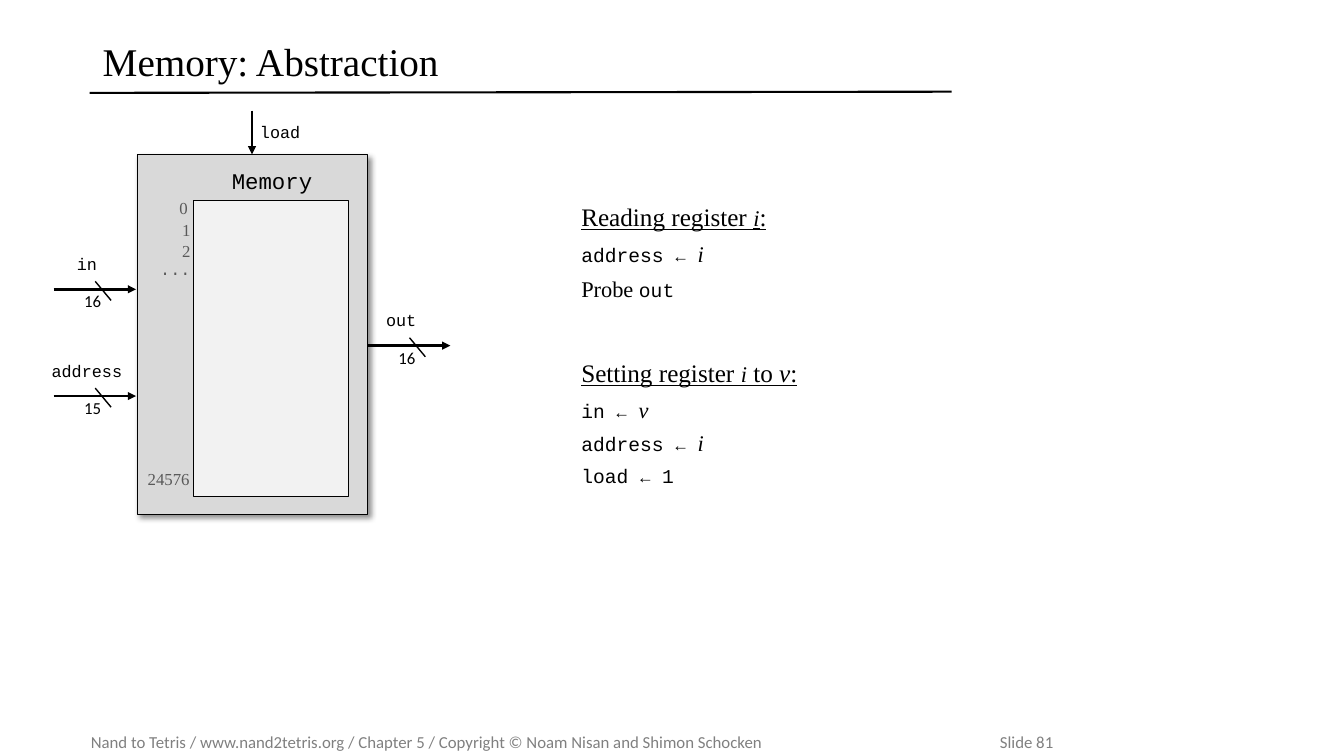
from dataclasses import dataclass

from lxml import etree
from pptx import Presentation
from pptx.dml.color import RGBColor
from pptx.enum.shapes import MSO_CONNECTOR, MSO_SHAPE
from pptx.enum.text import MSO_ANCHOR, PP_ALIGN
from pptx.oxml.ns import qn
from pptx.util import Cm, Pt

LEFT, MID, RIGHT = PP_ALIGN.LEFT, PP_ALIGN.CENTER, PP_ALIGN.RIGHT
TOP, CENTER = MSO_ANCHOR.TOP, MSO_ANCHOR.MIDDLE
LINE, RECT = MSO_CONNECTOR.STRAIGHT, MSO_SHAPE.RECTANGLE


@dataclass(frozen=True)
class Theme:
    black: str = "000000"
    gray: str = "808080"
    dim: str = "595959"
    chip: str = "D9D9D9"
    cells: str = "F2F2F2"
    serif: str = "Times New Roman"
    code: str = "Courier New"
    sans: str = "Calibri"
    title: int = 28
    head: int = 18
    body: int = 16
    mono: int = 14
    small: int = 12


@dataclass(frozen=True)
class Run:
    text: str
    font: str
    size: int
    color: str = Theme.black
    slant: bool = False
    under: bool = False


class Page:
    def __init__(self, deck, theme):
        self.theme = theme
        self.slide = deck.slides.add_slide(deck.slide_layouts[6])

    def text(self, left, top, width, height, paras, align=LEFT,
             anchor=TOP, inset=0.25, gaps=(), pitch=None, tab=None):
        box = self.slide.shapes.add_textbox(Cm(left), Cm(top), Cm(width), Cm(height))
        frame = box.text_frame
        frame.word_wrap = True
        frame.vertical_anchor = anchor
        frame.margin_left = frame.margin_right = Cm(inset)
        for row, runs in enumerate(paras):
            para = frame.paragraphs[0] if row == 0 else frame.add_paragraph()
            para.alignment = align
            if row:
                para.space_before = Pt(gaps[row - 1])
            if pitch:
                para.line_spacing = pitch
            if tab:
                stops = etree.SubElement(para._p.get_or_add_pPr(), qn("a:tabLst"))
                etree.SubElement(stops, qn("a:tab"), pos=str(Cm(tab)), algn="l")
            for item in runs:
                run = para.add_run()
                run.text = item.text
                font = run.font
                font.name, font.size = item.font, Pt(item.size)
                font.italic, font.underline = item.slant, item.under
                font.color.rgb = RGBColor.from_string(item.color)

    def label(self, left, top, width, text, font, align=MID, color=Theme.black):
        self.text(left, top, width, 0.76,
                  [[Run(text, font, self.theme.small, color)]], align)

    def line(self, start, end, weight, arrow=False):
        wire = self.slide.shapes.add_connector(LINE, *map(Cm, start + end))
        wire.line.color.rgb = RGBColor.from_string(self.theme.black)
        wire.line.width = Pt(weight)
        etree.SubElement(wire._element.spPr, qn("a:effectLst"))
        if arrow:
            etree.SubElement(wire.line._get_or_add_ln(), qn("a:tailEnd"), type="triangle")

    def rect(self, left, top, width, height, fill, weight, shade=False):
        box = self.slide.shapes.add_shape(RECT, Cm(left), Cm(top), Cm(width), Cm(height))
        box.fill.solid()
        box.fill.fore_color.rgb = RGBColor.from_string(fill)
        box.line.color.rgb = RGBColor.from_string(self.theme.black)
        box.line.width = Pt(weight)
        box.shadow.inherit = False
        if shade:
            effect = box._element.spPr.find(qn("a:effectLst"))
            cast = etree.SubElement(effect, qn("a:outerShdw"), blurRad=str(Pt(4)),
                                    dist=str(Pt(3)), dir="2700000", algn="tl", rotWithShape="0")
            tint = etree.SubElement(cast, qn("a:srgbClr"), val=self.theme.black)
            etree.SubElement(tint, qn("a:alpha"), val="43000")

    def port(self, left, top, name, bits):
        self.line((left, top), (left + 2.08, top), 1.75, True)
        self.line((left + 1.05, top - 0.2), (left + 1.45, top + 0.28), 1)
        self.label(left - 0.33, top - 1.02, 2.34, name, self.theme.code)
        self.label(left + 0.43, top - 0.08, 1.02, bits, self.theme.sans, RIGHT)

    def head(self, *parts):
        theme = self.theme
        return [Run(text, theme.serif, size, slant=slant, under=True)
                for text, size, slant in parts]

    def assign(self, name, value):
        theme = self.theme
        runs = [Run(name + " ", theme.code, theme.mono), Run("←", theme.code, theme.small)]
        if value.isdigit():
            return runs + [Run(" " + value, theme.code, theme.mono)]
        return runs + [Run(" ", theme.code, theme.mono),
                       Run(value, theme.serif, theme.body, slant=True)]


def main():
    deck = Presentation()
    deck.slide_width, deck.slide_height = Cm(33.87), Cm(19.05)
    theme = Theme()
    page = Page(deck, theme)

    credit = "Nand to Tetris / www.nand2tetris.org / Chapter 5 / Copyright © Noam Nisan and Shimon Schocken"
    page.text(2.29, 18.31, 31.12, 0.76,
              [[Run(credit + "\tSlide 81", theme.sans, theme.small, theme.gray)]],
              anchor=CENTER, inset=0, tab=22.91)
    page.line((2.26, 2.34), (23.98, 2.31), 1.5)
    page.text(2.34, 0.81, 21.67, 1.6,
              [[Run("Memory: Abstraction", theme.serif, theme.title)]],
              anchor=CENTER, pitch=0.9)

    page.rect(3.45, 3.89, 5.82, 9.07, theme.chip, 0.5, True)
    page.text(4.95, 4.09, 3.81, 0.94, [[Run("Memory", theme.code, theme.body)]], MID)
    page.rect(4.88, 5.05, 3.91, 7.47, theme.cells, 1)
    for left, top, text, font in (
        (2.39, 4.85, "0", theme.serif),
        (2.46, 5.41, "1", theme.serif),
        (2.46, 5.94, "2", theme.serif),
        (2.46, 6.4, "...", theme.code),
        (2.44, 11.68, "24576", theme.serif),
    ):
        page.label(left, top, 2.59, text, font, RIGHT, theme.dim)

    for left, top, name, bits in (
        (1.35, 7.29, "in", "16"),
        (1.35, 9.98, "address", "15"),
        (9.27, 8.71, "out", "16"),
    ):
        page.port(left, top, name, bits)
    page.line((6.35, 2.79), (6.35, 3.89), 1.75, True)
    page.label(5.89, 2.95, 2.34, "load", theme.code)

    big, mid = theme.head, theme.body
    page.text(14.4, 4.95, 6.63, 3.07, [
        page.head(("Reading register ", big, False), ("i", mid, True), (":", big, False)),
        page.assign("address", "i"),
        [Run("Probe ", theme.serif, mid), Run("out", theme.code, theme.mono)],
    ], gaps=(6, 6))
    page.text(14.4, 8.89, 6.63, 3.78, [
        page.head(("Setting register ", big, False), ("i", mid, True),
                  (" to ", big, False), ("v", big, True), (":", big, False)),
        page.assign("in", "v"),
        page.assign("address", "i"),
        page.assign("load", "1"),
    ], gaps=(6, 4, 6))

    deck.save("out.pptx")


if __name__ == "__main__":
    main()
